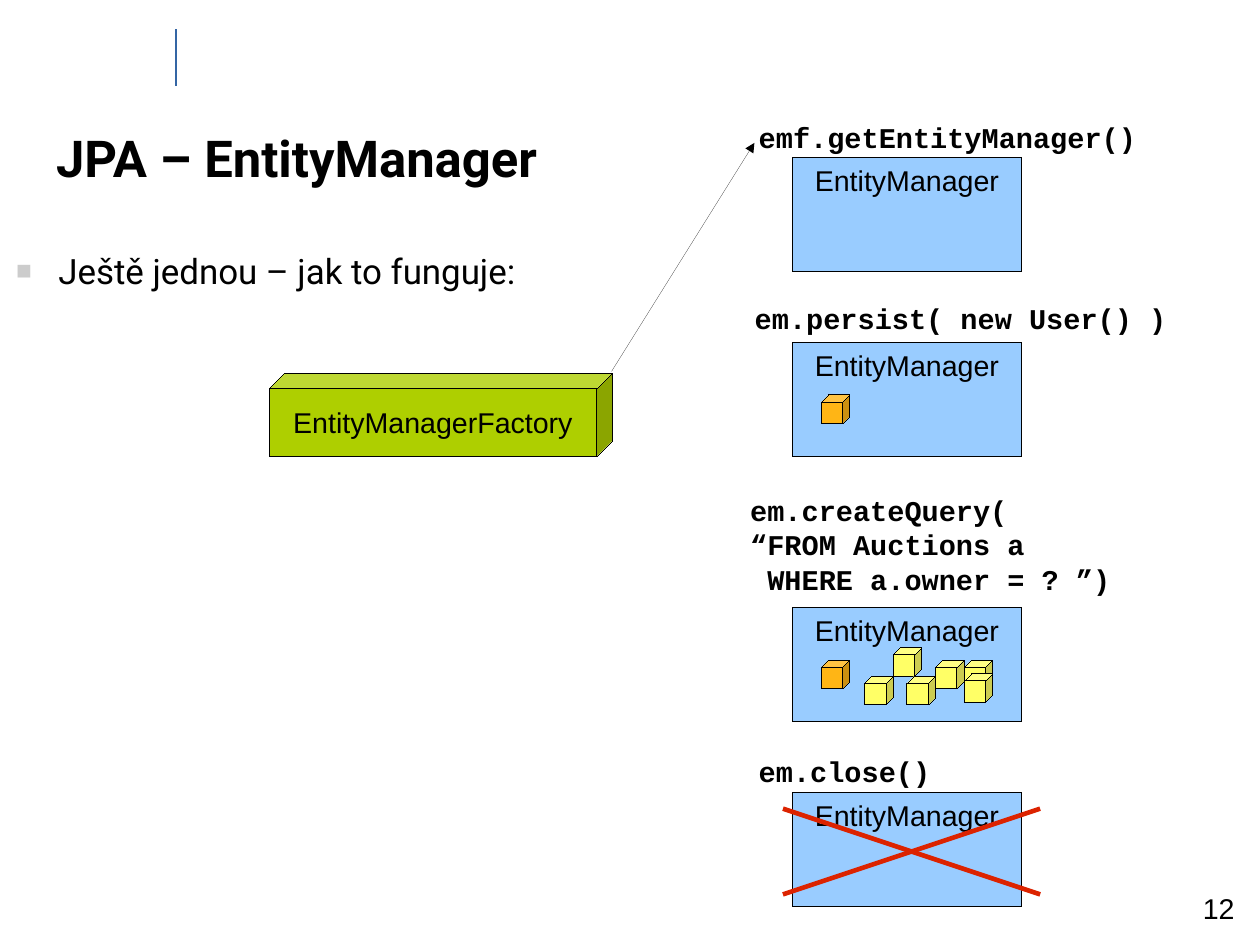
from lxml import etree
from pptx import Presentation
from pptx.dml.color import RGBColor
from pptx.enum.shapes import MSO_CONNECTOR, MSO_SHAPE
from pptx.enum.text import MSO_ANCHOR, PP_ALIGN
from pptx.oxml.ns import qn
from pptx.util import Cm, Inches, Pt

LINE = MSO_CONNECTOR.STRAIGHT
CUBE, RECT = MSO_SHAPE.CUBE, MSO_SHAPE.RECTANGLE
TOP, MIDDLE = MSO_ANCHOR.TOP, MSO_ANCHOR.MIDDLE
LEFT, CENTER, RIGHT = PP_ALIGN.LEFT, PP_ALIGN.CENTER, PP_ALIGN.RIGHT

BLACK = RGBColor(0x00, 0x00, 0x00)
BLUE = RGBColor(0x34, 0x65, 0xA4)
SKY = RGBColor(0x99, 0xCC, 0xFF)
GREEN = RGBColor(0xAE, 0xCF, 0x00)
ORANGE = RGBColor(0xFF, 0xB5, 0x15)
YELLOW = RGBColor(0xFF, 0xFF, 0x66)
RED = RGBColor(0xDC, 0x23, 0x00)
GRAY = RGBColor(0xCC, 0xCC, 0xCC)

CELL = Inches(0.25)
BOX_X, BOX_W, BOX_H = 27.74, 8, 4
PAD = (0.4, 0.2)
HAIR = 0.01

TITLE = "JPA – EntityManager"
BODY = "Ještě jednou – jak to funguje:"
FACTORY = "EntityManagerFactory"
MANAGER = "EntityManager"
NUMBER = "12"

USER = (1, 1.84, ORANGE)
FOUND = [(2.52, 2.4), (6, 1.84), (5, 1.84), (6, 2.32), (3.52, 1.4), (4, 2.4)]
STEPS = [
    (["emf.getEntityManager()"], (26.16, 4, 14, 1.52), 5.5, []),
    (["em.persist( new User() )"], (26.02, 10.34, 15.2, 1.52), 11.98, [USER]),
    (["em.createQuery(", "“FROM Auctions a", " WHERE a.owner = ? ”)"],
     (25.86, 17.06, 13.4, 3.8), 21.26,
     [USER] + [(x, y, YELLOW) for x, y in FOUND]),
    (["em.close()"], (26.16, 26.18, 6.8, 1.52), 27.72, []),
]
CROSS = [(27.4, 31.3, 36.4, 28.3), (27.4, 28.3, 36.4, 31.3)]


def grid(*cells):
    return [round(c * CELL) for c in cells]


def bullet(para):
    props = para._p.get_or_add_pPr()
    props.set("marL", str(Inches(0.37)))
    props.set("indent", str(-Inches(0.37)))
    tint = etree.SubElement(props, qn("a:buClr"))
    etree.SubElement(tint, qn("a:srgbClr"), val=str(GRAY))
    etree.SubElement(props, qn("a:buSzPct"), val="75000")
    etree.SubElement(props, qn("a:buFont"), typeface="Arial")
    etree.SubElement(props, qn("a:buChar"), char="■")


def write(shape, lines, font="Arial", size=18, bold=False, align=LEFT,
          anchor=TOP, pad=PAD, wrap=True, mark=False):
    frame = shape.text_frame
    frame.word_wrap = wrap
    frame.vertical_anchor = anchor
    side, edge = grid(*pad)
    frame.margin_left = frame.margin_right = side
    frame.margin_top = frame.margin_bottom = edge
    frame.text = "\n".join(lines)
    for para in frame.paragraphs:
        if mark:
            bullet(para)
        para.alignment = align
        para.font.name = font
        para.font.size = Pt(size)
        para.font.bold = bold
        para.font.color.rgb = BLACK


def label(lines, area, **style):
    write(slide.shapes.add_textbox(*grid(*area)), lines, **style)


def solid(kind, area, fill, bevel=None):
    shape = slide.shapes.add_shape(kind, *grid(*area))
    shape.shadow.inherit = False
    shape.fill.solid()
    shape.fill.fore_color.rgb = fill
    shape.line.color.rgb = BLACK
    shape.line.width = Pt(HAIR)
    if bevel:
        shape.adjustments[0] = bevel
    return shape


def stroke(ends, color, width, arrow=False):
    line = slide.shapes.add_connector(LINE, *grid(*ends))
    line.line.color.rgb = color
    line.line.width = Pt(width)
    props = line._element.spPr
    if arrow:
        etree.SubElement(props.find(qn("a:ln")), qn("a:tailEnd"), type="triangle")
    etree.SubElement(props, qn("a:effectLst"))


deck = Presentation()
deck.slide_width, deck.slide_height = Cm(28), Cm(21)
slide = deck.slides.add_slide(deck.slide_layouts[6])

label([NUMBER], (38.24, 31, 5.36, 1.48), align=RIGHT)
stroke((6.16, 3, 6.16, 1), BLUE, 1.45)
label([TITLE], (1.96, 2.94, 37.64, 5.12), font="Roboto", size=32, bold=True,
      anchor=MIDDLE, pad=(0, 0))
label([BODY], (0.56, 8.72, 37.64, 1.8), font="Roboto", size=22, pad=(0, 0),
      mark=True)

factory = solid(CUBE, (9.42, 13.06, 12, 2.92), GREEN, 0.184)
write(factory, [FACTORY], align=CENTER, anchor=MIDDLE)
stroke((21.4, 13, 26.4, 5), BLACK, HAIR, arrow=True)

for code, area, top, cubes in STEPS:
    label(code, area, font="Courier New", bold=True, wrap=False)
    box = solid(RECT, (BOX_X, top, BOX_W, BOX_H), SKY)
    write(box, [MANAGER], align=CENTER)
    for x, y, fill in cubes:
        solid(CUBE, (BOX_X + x, top + y, 1, 1), fill, 0.25)

for ends in CROSS:
    stroke(ends, RED, 2.89)

deck.save("out.pptx")
